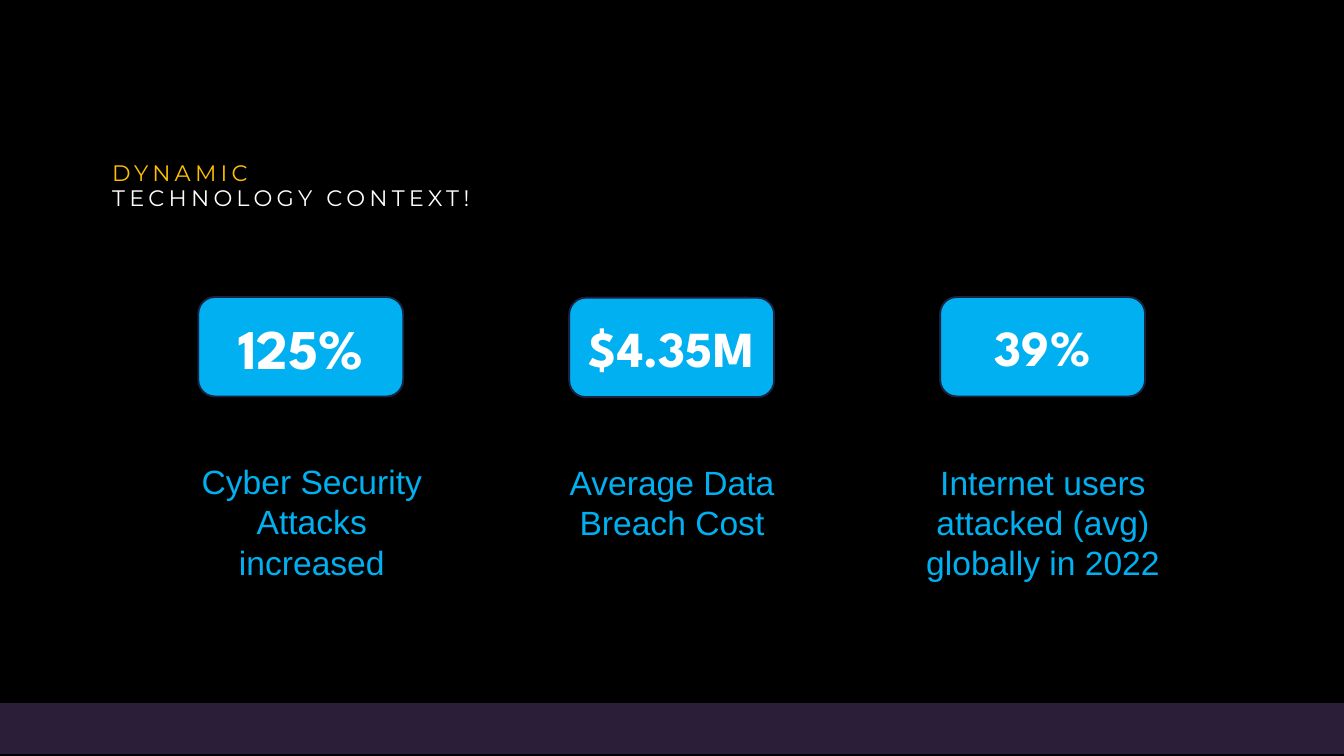
from pptx import Presentation
from pptx.dml.color import RGBColor
from pptx.enum.shapes import MSO_SHAPE
from pptx.enum.text import MSO_ANCHOR, MSO_AUTO_SIZE, PP_ALIGN
from pptx.util import Inches, Pt

COLORS = {
    "background": "000000",
    "blue": "00B0F0",
    "outline": "1B213F",
    "gold": "FFC000",
    "white": "FFFFFF",
    "band": "2B1E39",
}


def color(name):
    return RGBColor.from_string(COLORS[name])


def add_run(paragraph, text, font_name, size, color_name, bold=False):
    run = paragraph.add_run()
    run.text = text
    run.font.name = font_name
    run.font.size = Pt(size)
    run.font.bold = bold
    run.font.color.rgb = color(color_name)
    return run


presentation = Presentation()
presentation.slide_width = Inches(20)
presentation.slide_height = Inches(11.25)
slide = presentation.slides.add_slide(presentation.slide_layouts[5])
slide.background.fill.solid()
slide.background.fill.fore_color.rgb = color("background")

title = slide.shapes.title
title.left, title.top = Inches(1.52), Inches(2.37)
title.width, title.height = Inches(9.74), Inches(0.82)
title_frame = title.text_frame
title_frame.word_wrap = True
title_frame.auto_size = MSO_AUTO_SIZE.NONE
title_frame.vertical_anchor = MSO_ANCHOR.MIDDLE
title_frame.margin_left = title_frame.margin_right = Inches(0.15)
title_frame.margin_top = title_frame.margin_bottom = Inches(0.15)
title_lines = [("DYNAMIC", "gold"), ("TECHNOLOGY CONTEXT!", "white")]
for index, (text, color_name) in enumerate(title_lines):
    paragraph = title_frame.add_paragraph() if index else title_frame.paragraphs[0]
    paragraph.alignment = PP_ALIGN.LEFT
    paragraph.line_spacing = 0.9
    paragraph.space_before = Pt(0)
    run = add_run(paragraph, text, "Montserrat", 24, color_name)
    run.font._element.set("spc", "450")

statistics = [
    ("125%", 60, 4.42, "Cyber Security Attacks increased", 2.63, 6.81, 4.02, 1.92),
    ("$4.35M", 54, 4.43, "Average Data Breach Cost", 8.31, 6.82, 3.38, 1.31),
    ("39%", 54, 4.42, "Internet users attacked (avg) globally in 2022", 13.58, 6.82, 3.88, 1.92),
]
for index, (value, size, card_top, label, left, top, width, height) in enumerate(statistics):
    caption = slide.shapes.add_textbox(Inches(left), Inches(top), Inches(width), Inches(height))
    caption.text_frame.word_wrap = True
    caption.text_frame.auto_size = MSO_AUTO_SIZE.SHAPE_TO_FIT_TEXT
    paragraph = caption.text_frame.paragraphs[0]
    paragraph.alignment = PP_ALIGN.CENTER
    add_run(paragraph, label, "Arial", 36, "blue")

    card = slide.shapes.add_shape(
        MSO_SHAPE.ROUNDED_RECTANGLE,
        Inches(2.95 + index * 5.52), Inches(card_top), Inches(3.05), Inches(1.48),
    )
    card.shadow.inherit = False
    card.fill.solid()
    card.fill.fore_color.rgb = color("blue")
    card.line.color.rgb = color("outline")
    card.line.width = Pt(2)
    card.text_frame.word_wrap = True
    card.text_frame.vertical_anchor = MSO_ANCHOR.MIDDLE
    paragraph = card.text_frame.paragraphs[0]
    paragraph.alignment = PP_ALIGN.CENTER
    add_run(paragraph, value, "League Spartan", size, "white", bold=True)

band = slide.shapes.add_shape(
    MSO_SHAPE.RECTANGLE, Inches(0), Inches(10.46), Inches(20), Inches(0.76)
)
band.shadow.inherit = False
band.fill.solid()
band.fill.fore_color.rgb = color("band")
band.line.fill.background()

presentation.save("out.pptx")
